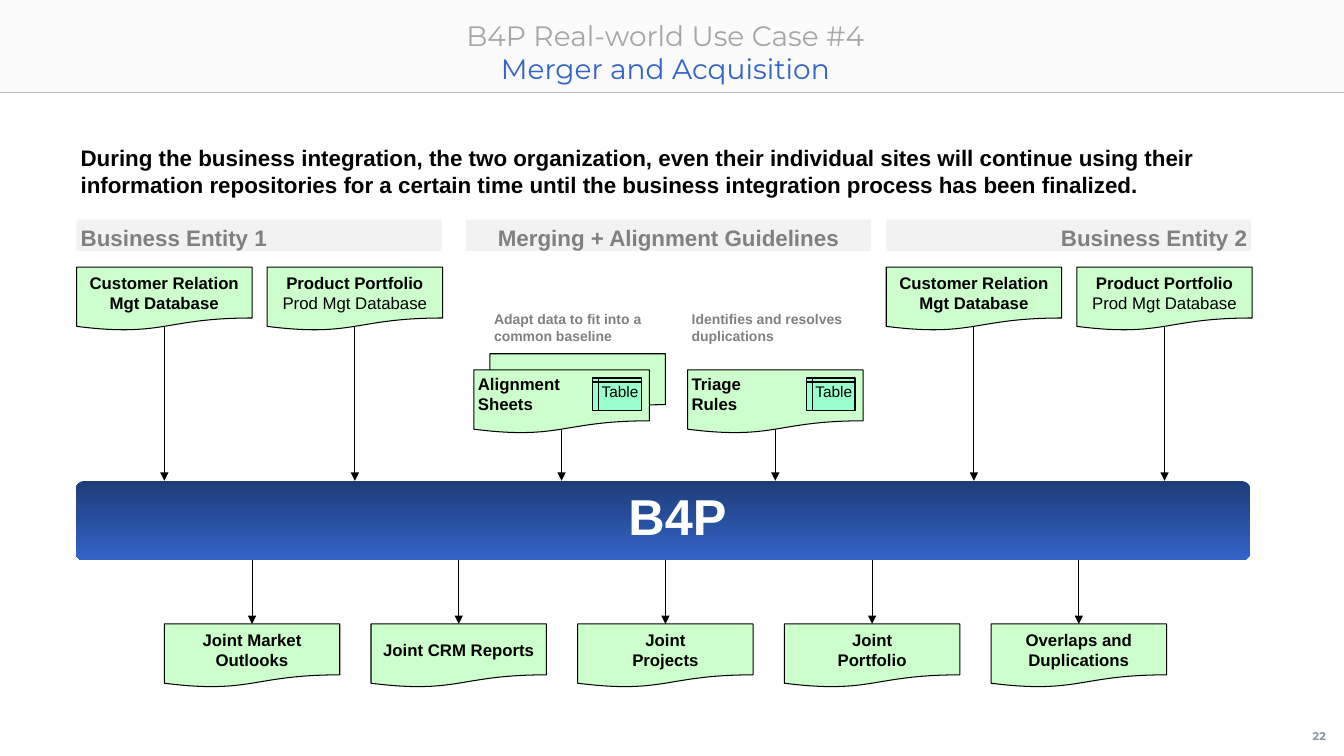
"""Builds the slide on merging two business entities through B4P."""
from pptx import Presentation
from pptx import util as u
from pptx.dml.color import RGBColor
from pptx.enum import shapes, text
from pptx.oxml import parse_xml
from pptx.oxml.ns import nsdecls, qn

PX = 9144
BLACK = RGBColor(0, 0, 0)
WHITE = RGBColor(255, 255, 255)
GREEN = RGBColor(0xCC, 0xFF, 0xCC)
MINT = RGBColor(0x99, 0xFF, 0xCC)
NAVY = RGBColor(0x1E, 0x3C, 0x78)
BLUE = RGBColor(0x32, 0x64, 0xC8)
GREY = RGBColor(0x80, 0x80, 0x80)
TITLE_GREY = RGBColor(0xA6, 0xA6, 0xA6)
NUMBER_GREY = RGBColor(0x89, 0x96, 0xA0)
RULE_GREY = RGBColor(0xBF, 0xBF, 0xBF)
BAND = RGBColor(0xF2, 0xF2, 0xF2)
HEADER = RGBColor(0xFB, 0xFB, 0xFB)

LEFT, CENTER, RIGHT = text.PP_ALIGN.LEFT, text.PP_ALIGN.CENTER, text.PP_ALIGN.RIGHT
TOP, MIDDLE = text.MSO_ANCHOR.TOP, text.MSO_ANCHOR.MIDDLE
KIND = shapes.MSO_SHAPE
CARD_W, CARD_H = 174, 63
BAR_TOP, BAR_BOTTOM = 477, 556
RESULT_TOP = 619

CARD_TEXT = {"size": u.Pt(12), "name": "Arial", "bold": True}
TAG_TEXT = {"size": u.Pt(11), "name": "Arial", "bold": False}
HEAD_TEXT = {"size": u.Pt(16), "name": "Arial", "bold": True}
NOTE_TEXT = {"size": u.Pt(10), "name": "Arial", "bold": True}
BAR_TEXT = {"size": u.Pt(36), "name": "Arial", "bold": True}
TITLE_TEXT = {"size": u.Pt(20), "name": "Montserrat", "bold": False}
NUMBER_TEXT = {"size": u.Pt(8), "name": "Montserrat", "bold": True}


def px(*values):
    """Turn px lengths into EMU."""
    return [value * PX for value in values]


def set_all(target, values):
    """Set every attribute in the dict on the target."""
    for name, value in values.items():
        setattr(target, name, value)


def add_span(para, words, look, color):
    """Add one formatted run to a paragraph."""
    span = para.add_run()
    span.text = words
    set_all(span.font, look)
    span.font.color.rgb = color


def write(box, lines, look, color=BLACK, align=CENTER, anchor=TOP, inset=4, wrap=False, plain_end=False):
    """Write one paragraph per line into a shape."""
    frame = box.text_frame
    set_all(frame, {"word_wrap": wrap, "vertical_anchor": anchor})
    sides = ("margin_left", "margin_top", "margin_right", "margin_bottom")
    set_all(frame, dict.fromkeys(sides, inset * PX))
    for index, words in enumerate(lines):
        para = frame.add_paragraph() if index else frame.paragraphs[0]
        para.alignment = align
        plain = plain_end and index == len(lines) - 1
        add_span(para, words, {**look, "bold": False} if plain else look, color)


def add_block(page, kind, place, fill, outlined=False):
    """Add a flat preset shape."""
    block = page.shapes.add_shape(kind, *px(*place))
    block.shadow.inherit = False
    block.fill.solid()
    block.fill.fore_color.rgb = fill
    if outlined:
        block.line.color.rgb = BLACK
        block.line.width = u.Pt(0.75)
    else:
        block.line.fill.background()
    return block


def add_card(page, left, top, lines=(), **options):
    """Add a green document card."""
    card = add_block(page, KIND.FLOWCHART_DOCUMENT, (left, top, CARD_W, CARD_H), GREEN, True)
    if lines:
        write(card, lines, CARD_TEXT, **options)
    return card


def add_note(page, place, lines, look, **options):
    """Add a text box."""
    write(page.shapes.add_textbox(*px(*place)), lines, look, **options)


def add_line(page, start, end, color=BLACK, width=0.75, arrow=True):
    """Add a straight line, with an arrowhead if wanted."""
    line = page.shapes.add_connector(shapes.MSO_CONNECTOR.STRAIGHT, *px(*start, *end))
    line.line.color.rgb = color
    line.line.width = u.Pt(width)
    properties = line._element.spPr
    if arrow:
        head = parse_xml(f'<a:tailEnd {nsdecls("a")} type="triangle"/>')
        properties.find(qn("a:ln")).append(head)
    properties.append(parse_xml(f'<a:effectLst {nsdecls("a")}/>'))
    return line


def add_header(page):
    """Add the header band, title, rule and page number."""
    add_block(page, KIND.RECTANGLE, (0, 0, 1333, 92), HEADER)
    title = page.shapes.title
    set_all(title, dict(zip(("left", "top", "width", "height"), px(51, 13, 1228, 79))))
    page.shapes._spTree.append(title._element)
    frame = title.text_frame
    set_all(frame, {"vertical_anchor": TOP, "word_wrap": True, "margin_left": 0,
                    "auto_size": text.MSO_AUTO_SIZE.NONE})
    para = frame.paragraphs[0]
    para.alignment = CENTER
    add_span(para, "B4P Real-world Use Case #4", TITLE_TEXT, TITLE_GREY)
    para.add_line_break()
    add_span(para, "Merger and Acquisition", TITLE_TEXT, BLUE)
    add_line(page, (0, 92), (1333, 92), RULE_GREY, 1, arrow=False)
    add_note(page, (1289, 711, 39, 39), ["22"], NUMBER_TEXT, color=NUMBER_GREY, anchor=MIDDLE)


def add_bar(page):
    """Add the central B4P bar."""
    bar = add_block(page, KIND.ROUNDED_RECTANGLE, (75, BAR_TOP, 1165, BAR_BOTTOM - BAR_TOP), BLUE)
    bar.adjustments[0] = 0.11
    bar.fill.gradient()
    bar.fill.gradient_angle = 270
    for stop, color, position in zip(bar.fill.gradient_stops, (NAVY, BLUE), (0, 1)):
        stop.color.rgb = color
        stop.position = position
    add_note(page, (610, 493, 124, 37), ["B4P"], BAR_TEXT, color=WHITE, anchor=MIDDLE, inset=5)


def add_input(page, left, top, lines, **options):
    """Add a card with an arrow down to the bar."""
    add_card(page, left, top, lines, **options)
    middle = left + CARD_W // 2
    add_line(page, (middle, top + 59), (middle, BAR_TOP))


def add_entity(page, left, name, align):
    """Add one business entity with its two databases."""
    add_heading(page, left, 362, name, align)
    add_input(page, left, 265, ["Customer Relation", "Mgt Database"], anchor=MIDDLE)
    add_input(page, left + 189, 265, ["Product Portfolio", "Prod Mgt Database"],
              anchor=MIDDLE, plain_end=True)


def add_heading(page, left, width, name, align):
    """Add a grey column heading."""
    band = add_block(page, KIND.RECTANGLE, (left, 218, width, 31), BAND)
    write(band, [name], HEAD_TEXT, color=GREY, align=align, wrap=True)


def add_guideline(page, left, lines, note_left, note):
    """Add a guideline card with its note and spreadsheet tag."""
    add_note(page, (note_left, 304, 173, 47), note, NOTE_TEXT, color=GREY, align=LEFT, wrap=True)
    add_input(page, left, 367, lines, align=LEFT)
    tag = add_block(page, KIND.FLOWCHART_INTERNAL_STORAGE, (left + 118, 375, 48, 32), MINT, True)
    write(tag, ["Table"], TAG_TEXT, inset=0)


def add_result(page, left, lines):
    """Add a result card with an arrow from the bar."""
    card = add_card(page, left, RESULT_TOP, lines, anchor=MIDDLE)
    middle = left + CARD_W // 2
    add_line(page, (middle, BAR_BOTTOM), (middle, RESULT_TOP)).end_connect(card, 0)


def main():
    """Build and save the deck."""
    deck = Presentation()
    deck.slide_width, deck.slide_height = px(1333, 750)
    page = deck.slides.add_slide(deck.slide_layouts[5])
    add_header(page)
    add_note(page, (76, 139, 1173, 47), [
        "During the business integration, the two organization, even their individual sites will "
        "continue using their information repositories for a certain time until the business "
        "integration process has been finalized."], HEAD_TEXT, align=LEFT, wrap=True)
    add_bar(page)
    add_entity(page, 76, "Business Entity 1", LEFT)
    add_entity(page, 879, "Business Entity 2", RIGHT)
    add_heading(page, 462, 402, "Merging + Alignment Guidelines", CENTER)
    add_card(page, 486, 351)
    add_guideline(page, 470, ["Alignment", "Sheets"], 486,
                  ["Adapt data to fit into a", "common baseline"])
    add_guideline(page, 682, ["Triage", "Rules"], 682,
                  ["Identifies and resolves", "duplications"])
    results = (["Joint Market", "Outlooks"], ["Joint CRM Reports"], ["Joint", "Projects"],
               ["Joint", "Portfolio"], ["Overlaps and", "Duplications"])
    for index, lines in enumerate(results):
        add_result(page, 163 + 205 * index, lines)
    deck.save("out.pptx")


if __name__ == "__main__":
    main()
